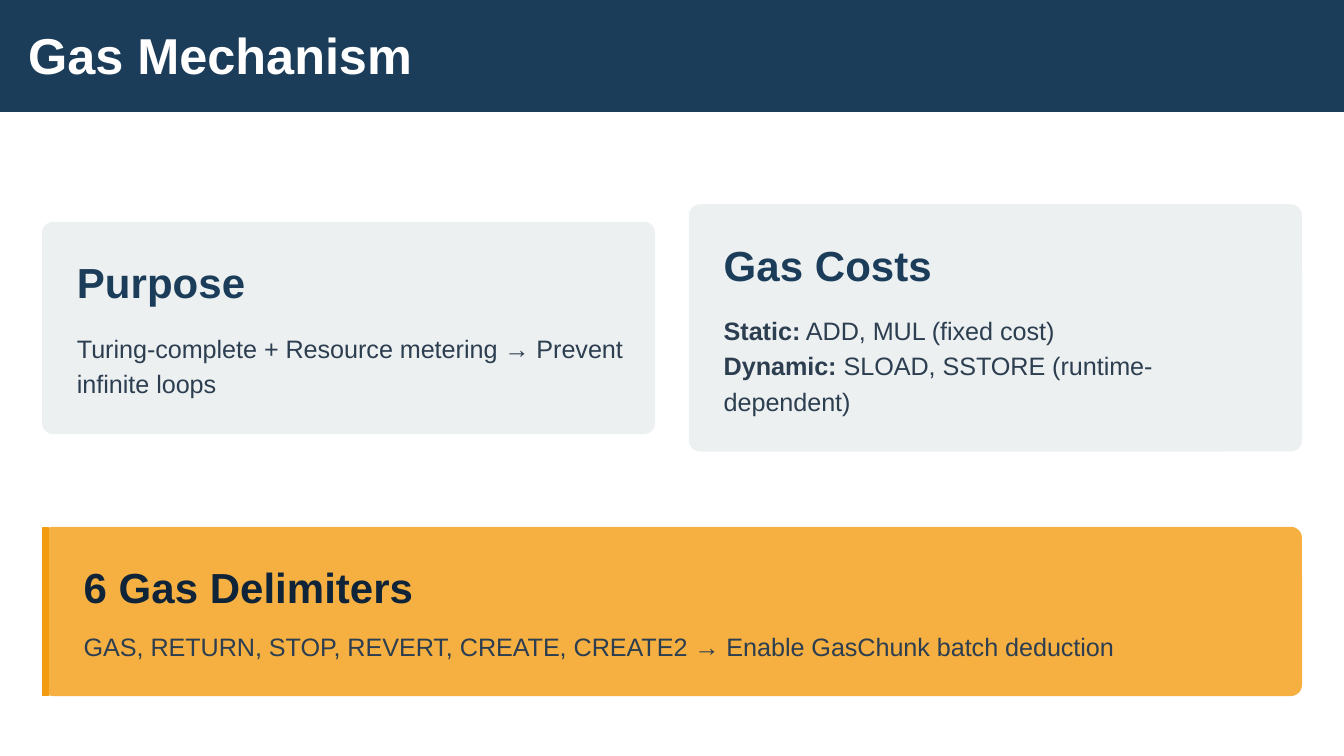
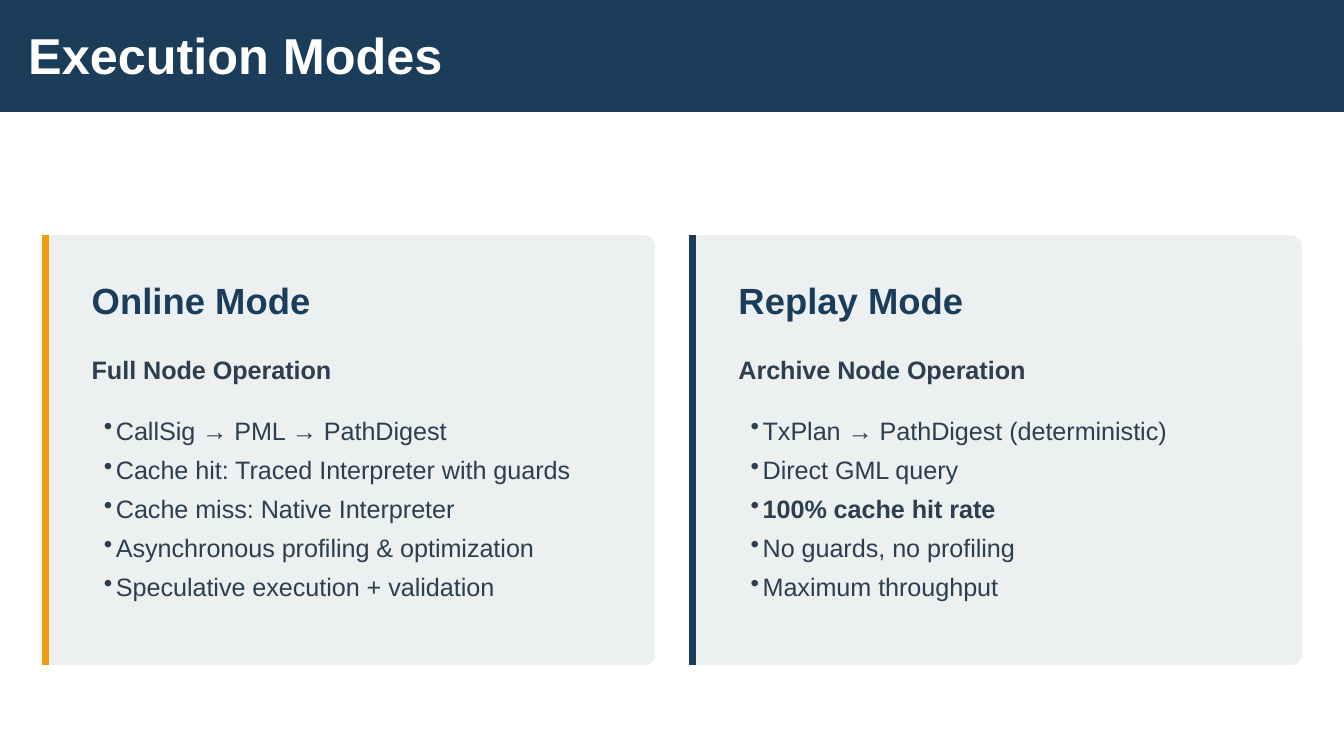
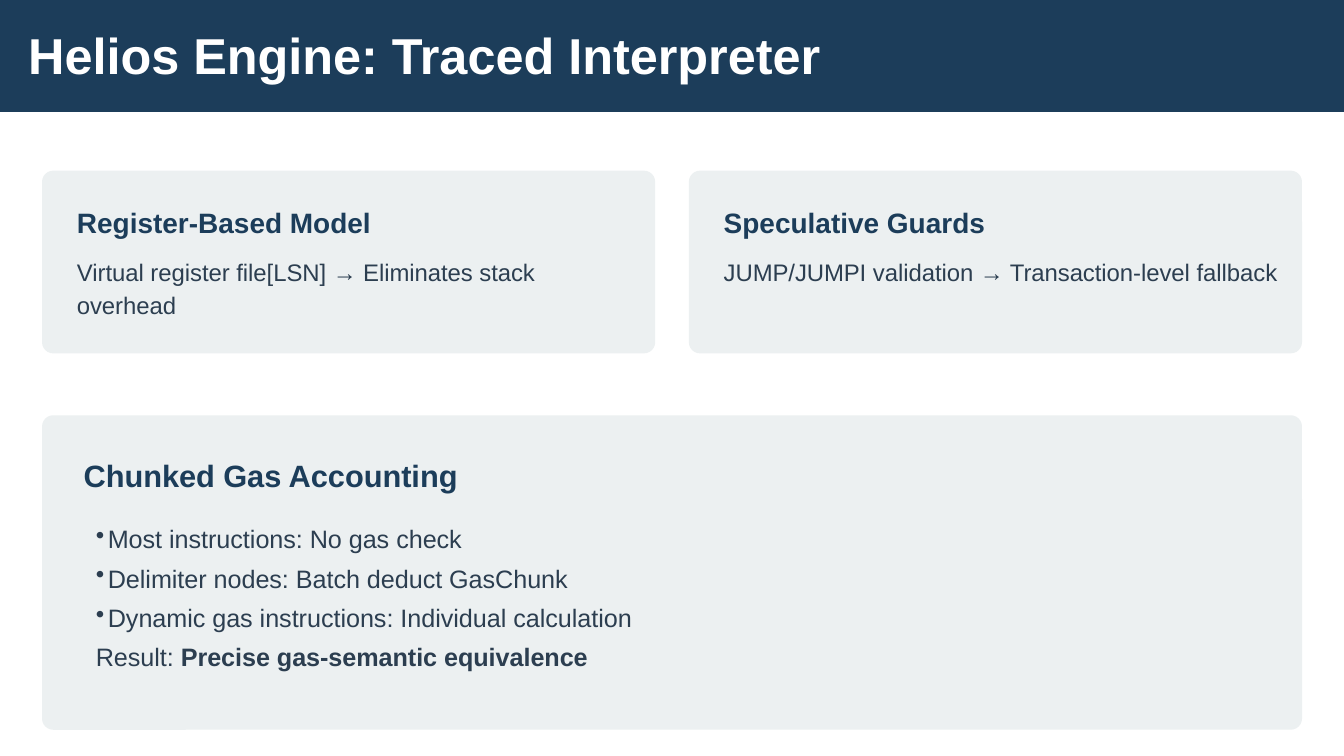
import copy

import pptx
import pptx.dml.color
import pptx.enum.shapes
import pptx.util
from lxml import etree
from pptx.oxml.ns import qn

Inches = pptx.util.Inches
Pt = pptx.util.Pt
Shapes = pptx.enum.shapes.MSO_SHAPE

FONT = "Arial"
NAVY, INK, DARK, WHITE = "1C3D5A", "2C3E50", "0F2438", "FFFFFF"
PALE, AMBER, ORANGE = "ECF0F1", "F5B041", "F39C12"

PAGE_WIDTH = 10
PAGE_HEIGHT = PAGE_WIDTH * 9 / 16
BAND_HEIGHT = 5 / 6
MARGIN, GAP = 5 / 16, 1 / 4
WIDE_WIDTH = PAGE_WIDTH - 2 * MARGIN
CARD_WIDTH = (WIDE_WIDTH - GAP) / 2
CORNER, ACCENT_POINTS = 0.084, 3.75
BULLET_INDENT = 0.09

STYLES = {
    "title": dict(size=27, leading=30, color=WHITE, bold=True),
    "large heading": dict(size=22.5, leading=27, color=NAVY, bold=True, after=11.2),
    "highlight heading": dict(size=22.5, leading=27, color=DARK, bold=True, after=7.5),
    "mode heading": dict(size=19.5, leading=23.4, color=NAVY, bold=True, after=15),
    "section heading": dict(size=16.5, color=NAVY, bold=True, after=11.2),
    "small heading": dict(size=15, color=NAVY, bold=True, after=7.5),
    "subheading": dict(size=13.5, leading=18.9, color=INK, bold=True, after=11.2),
    "body": dict(size=13.5, leading=18.9, color=INK),
    "small body": dict(size=12.75, leading=17.85, color=INK),
    "list": dict(size=13.5, leading=21, color=INK, inset=BULLET_INDENT),
}

# Distance of the texts from the card's left edge, and their width.
NARROW_TEXT = dict(pad=0.26, text_width=4.12)
MODE_TEXT = dict(pad=0.37, text_width=3.96)
WIDE_TEXT = dict(pad=0.31, text_width=8.98)

# Each text of a card: style, distance below the card's top, height, wording.
# Double asterisks enclose bold words; a leading bullet marks a list item.
SLIDES = [
    ("Gas Mechanism", [
        dict(column=0, top=1.65, height=1.58, **NARROW_TEXT, texts=[
            ("large heading", 0.26, 0.38, "Purpose"),
            ("body", 0.79, 0.52,
             "Turing-complete + Resource metering → Prevent infinite loops")]),
        dict(column=1, top=1.52, height=1.84, **NARROW_TEXT, texts=[
            ("large heading", 0.26, 0.38, "Gas Costs"),
            ("body", 0.79, 0.79, "**Static:** ADD, MUL (fixed cost)\n"
             "**Dynamic:** SLOAD, SSTORE (runtime-dependent)")]),
        dict(wide=True, top=3.92, height=1.26, **WIDE_TEXT, fill=AMBER, accent=ORANGE, texts=[
            ("highlight heading", 0.26, 0.38, "6 Gas Delimiters"),
            ("body", 0.74, 0.26, "GAS, RETURN, STOP, REVERT, CREATE, CREATE2"
             " → Enable GasChunk batch deduction")]),
    ]),
    ("Execution Modes", [
        dict(column=0, top=1.75, height=3.2, **MODE_TEXT, accent=ORANGE, texts=[
            ("mode heading", 0.32, 0.32, "Online Mode"),
            ("subheading", 0.85, 0.26, "Full Node Operation"),
            ("list", 1.27, 1.62, [
                "•CallSig → PML → PathDigest",
                "•Cache hit: Traced Interpreter with guards",
                "•Cache miss: Native Interpreter",
                "•Asynchronous profiling & optimization",
                "•Speculative execution + validation"])]),
        dict(column=1, top=1.75, height=3.2, **MODE_TEXT, accent=NAVY, texts=[
            ("mode heading", 0.32, 0.32, "Replay Mode"),
            ("subheading", 0.85, 0.26, "Archive Node Operation"),
            ("list", 1.27, 1.62, [
                "•TxPlan → PathDigest (deterministic)",
                "•Direct GML query",
                "•**100% cache hit rate**",
                "•No guards, no profiling",
                "•Maximum throughput"])]),
    ]),
    ("Helios Engine: Traced Interpreter", [
        dict(column=0, top=1.27, height=1.36, **NARROW_TEXT, texts=[
            ("small heading", 0.26, 0.24, "Register-Based Model"),
            ("small body", 0.61, 0.5,
             "Virtual register file[LSN] → Eliminates stack overhead")]),
        dict(column=1, top=1.27, height=1.36, **NARROW_TEXT, texts=[
            ("small heading", 0.26, 0.24, "Speculative Guards"),
            ("small body", 0.61, 0.5,
             "JUMP/JUMPI validation → Transaction-level fallback")]),
        dict(wide=True, top=3.09, height=2.34, **WIDE_TEXT, texts=[
            ("section heading", 0.31, 0.27, "Chunked Gas Accounting"),
            ("list", 0.74, 1.29, [
                "•Most instructions: No gas check",
                "•Delimiter nodes: Batch deduct GasChunk",
                "•Dynamic gas instructions: Individual calculation",
                "Result: **Precise gas-semantic equivalence**"])]),
    ]),
]


def rgb(color):
    return pptx.dml.color.RGBColor.from_string(color)


def add_panel(page, preset, left, top, width, height, fill):
    panel = page.shapes.add_shape(
        preset, Inches(left), Inches(top), Inches(width), Inches(height))
    panel.shadow.inherit = False
    panel.fill.solid()
    panel.fill.fore_color.rgb = rgb(fill)
    panel.line.fill.background()
    return panel


def add_bullet(para):
    properties = para._p.get_or_add_pPr()
    properties.set("marL", str(Inches(BULLET_INDENT)))
    properties.set("indent", str(-Inches(BULLET_INDENT)))
    etree.SubElement(properties, qn("a:buSzPct")).set("val", "100000")
    etree.SubElement(properties, qn("a:buChar")).set("char", "•")


def add_spans(para, text, size, color, bold):
    """Write the text, switching bold at each pair of asterisks."""
    span = None
    for index, part in enumerate(text.split("**")):
        for number, line in enumerate(part.split("\n")):
            if number:
                para.add_line_break()
                para._p[-1].append(copy.deepcopy(span._r.rPr))
            if line:
                span = para.add_run()
                span.text = line
                span.font.name = FONT
                span.font.size = Pt(size)
                span.font.bold = bold or index % 2 == 1
                span.font.color.rgb = rgb(color)
    # The paragraph mark's size governs the bullet and the line height.
    etree.SubElement(para._p, qn("a:endParaRPr")).set("sz", str(round(size * 100)))


def add_text(page, text, left, top, width, height, *, size, color,
             bold=False, leading=None, after=None, inset=0):
    box = page.shapes.add_textbox(
        Inches(left), Inches(top), Inches(width), Inches(height))
    frame = box.text_frame
    frame.word_wrap = True
    frame.margin_left = Inches(inset)
    frame.margin_top = frame.margin_right = frame.margin_bottom = 0
    items = [text] if isinstance(text, str) else text
    for index, item in enumerate(items):
        para = frame.add_paragraph() if index else frame.paragraphs[0]
        if item.startswith("•"):
            add_bullet(para)
        if leading:
            para.line_spacing = Pt(leading)
        if after:
            para.space_after = Pt(after)
        add_spans(para, item.removeprefix("•"), size, color, bold)


def add_accent(page, left, top, height, color):
    x = Inches(left + 0.03)
    accent = page.shapes.add_connector(
        pptx.enum.shapes.MSO_CONNECTOR.STRAIGHT, x, Inches(top), x, Inches(top + height))
    accent.line.color.rgb = rgb(color)
    accent.line.width = Pt(ACCENT_POINTS)
    etree.SubElement(accent._element.spPr, qn("a:effectLst"))


def add_card(page, *, top, height, pad, text_width, texts,
             column=0, wide=False, fill=PALE, accent=None):
    left = MARGIN + column * (CARD_WIDTH + GAP)
    width = WIDE_WIDTH if wide else CARD_WIDTH
    panel = add_panel(page, Shapes.ROUNDED_RECTANGLE, left, top, width, height, fill)
    panel.adjustments[0] = CORNER / height
    if accent:
        add_accent(page, left, top, height, accent)
    for style, offset, text_height, text in texts:
        add_text(page, text, left + pad, top + offset, text_width, text_height,
                 **STYLES[style])


def add_slide(deck, title, cards):
    page = deck.slides.add_slide(deck.slide_layouts[6])
    add_panel(page, Shapes.RECTANGLE, 0, 0, PAGE_WIDTH, BAND_HEIGHT, NAVY)
    add_text(page, title, 0.21, 0.21, 6.02, 0.42, **STYLES["title"])
    for card in cards:
        add_card(page, **card)


def main():
    deck = pptx.Presentation()
    deck.slide_width = Inches(PAGE_WIDTH)
    deck.slide_height = Inches(PAGE_HEIGHT)
    for title, cards in SLIDES:
        add_slide(deck, title, cards)
    deck.save("out.pptx")


if __name__ == "__main__":
    main()
